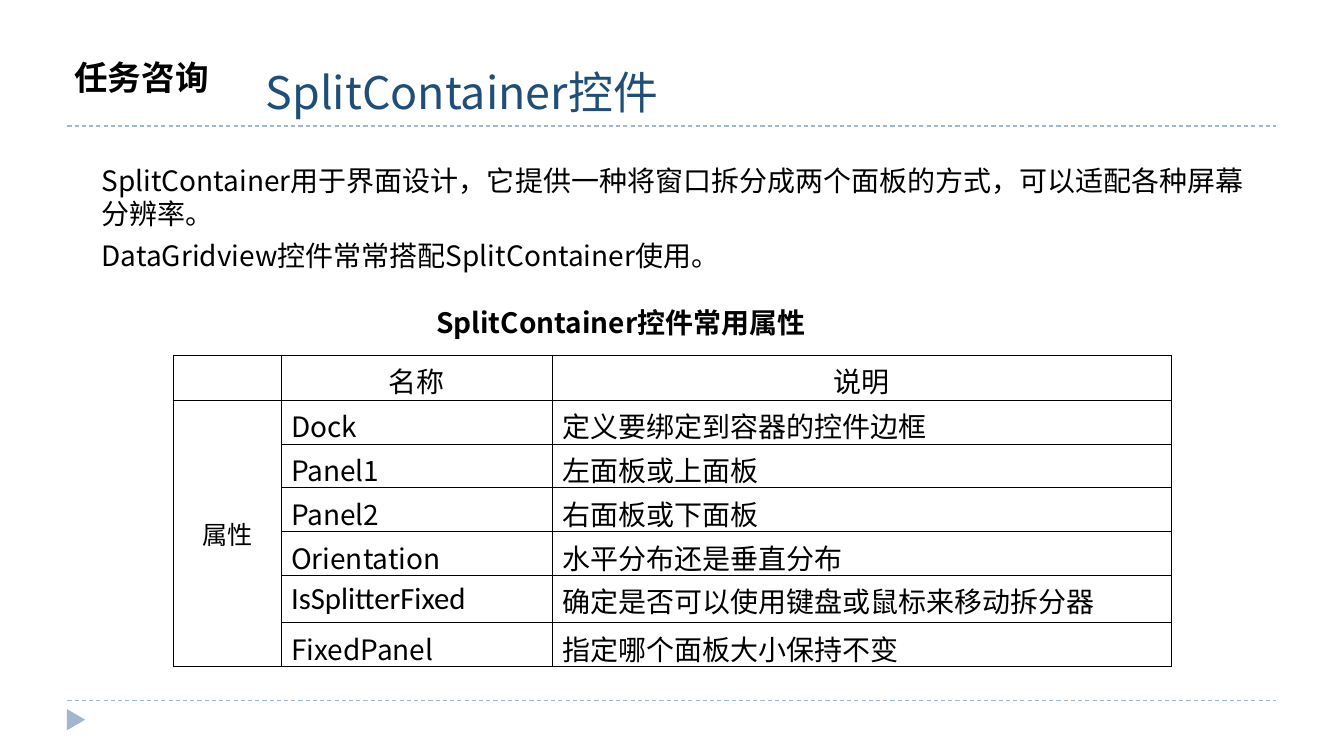
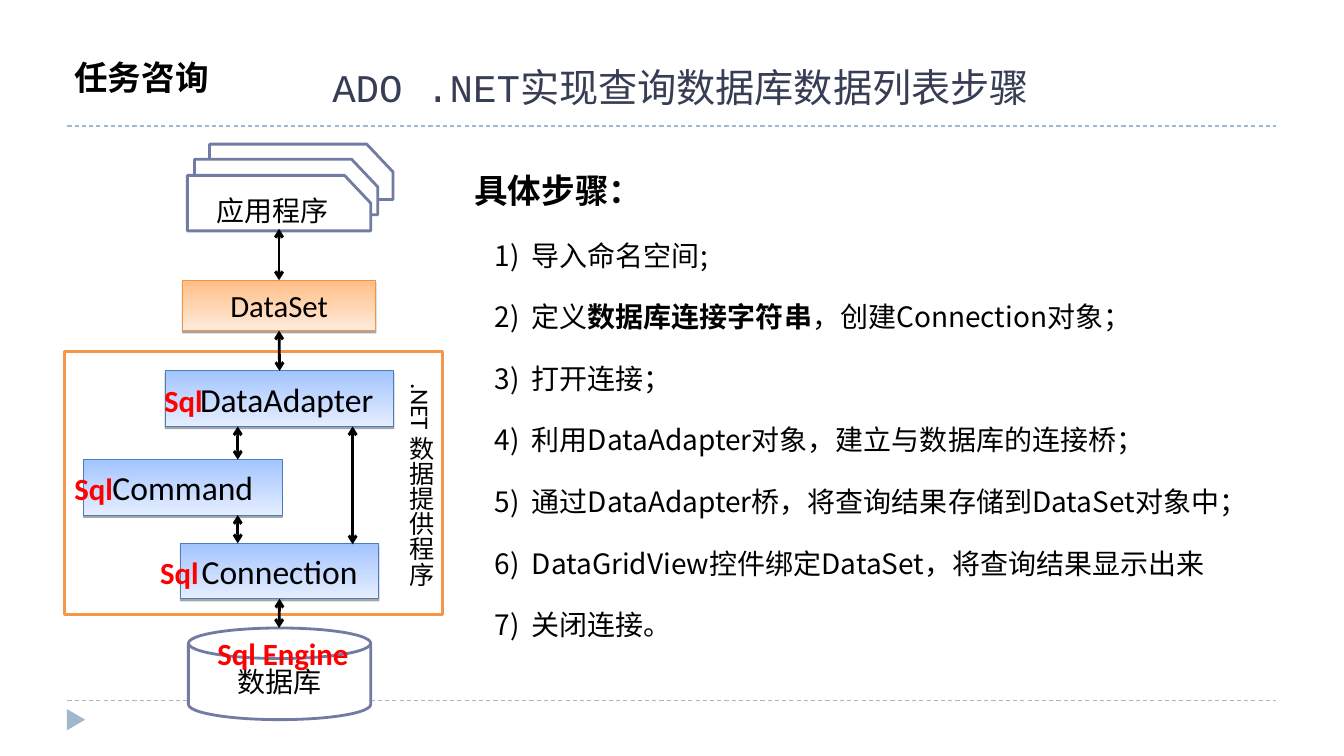
from pptx import Presentation
from pptx import util as u
from pptx.dml import color
from pptx.enum import dml, shapes, text
from pptx.oxml import xmlchemy

SANS = "Noto Sans CJK SC"
BLACK, WHITE, RED = "000000", "FFFFFF", "FF0000"
RULE, OUTLINE, ORANGE = "9FB8CD", "727CA3", "F79646"
BLUE_BOX = ("A3C4FF", "E5EEFF", "4A7EBB")
ORANGE_BOX = ("FFBE86", "FFEBDB", "F69240")
CENTER = {"alignment": text.PP_ALIGN.CENTER}
INSETS = (0.1, 0.05, 0.1, 0.05)
TOP, BOTTOM = 0, 2


def colour(value):
    """Turn a hex string into a colour."""
    return color.RGBColor.from_string(value)


def inches(values):
    """Convert a sequence of numbers to lengths."""
    return [u.Inches(value) for value in values]


def set_values(target, values):
    """Set every attribute named in a dict."""
    for name, value in values.items():
        setattr(target, name, value)


def add_element(parent, tag, **attributes):
    """Append an XML element with attributes and return it."""
    element = xmlchemy.OxmlElement(tag)
    for name, value in attributes.items():
        element.set(name, value)
    parent.append(element)
    return element


def font_of(size, name=SANS, fill=BLACK, bold=False):
    """Describe a font as a dict."""
    return {"size": u.Pt(size), "name": name, "bold": bold, "fill": fill}


def add_run(paragraph, words, font):
    """Add a run with Latin and East Asian typefaces."""
    run = paragraph.add_run()
    run.text = words
    set_values(run.font, {name: font[name] for name in ("size", "name", "bold")})
    run.font.color.rgb = colour(font["fill"])
    typeface = font["name"] if font["name"].startswith("Noto") else SANS
    add_element(run._r.get_or_add_rPr(), "a:ea", typeface=typeface)


def write(frame, paragraphs, font, layout=None, before=0):
    """Fill a text frame with one paragraph for each string."""
    for index, words in enumerate(paragraphs):
        paragraph = frame.add_paragraph() if index else frame.paragraphs[0]
        set_values(paragraph, layout or {})
        if index and before:
            paragraph.space_before = u.Pt(before)
        add_run(paragraph, words, font)


def prepare_frame(frame, insets=INSETS, anchor=text.MSO_ANCHOR.TOP):
    """Set insets, anchor and wrapping of a text frame."""
    sides = ("margin_left", "margin_top", "margin_right", "margin_bottom")
    set_values(frame, dict(zip(sides, inches(insets))))
    set_values(frame, {"vertical_anchor": anchor, "word_wrap": True})


def add_text(slide, place, paragraphs, font, layout=None, before=0, **frame_values):
    """Add a text box and return its frame."""
    frame = slide.shapes.add_textbox(*inches(place)).text_frame
    prepare_frame(frame, **frame_values)
    write(frame, paragraphs, font, layout, before)
    return frame


def paint(shape, fill, line=None, width=2.0):
    """Give a shape a flat fill and an outline."""
    shape.shadow.inherit = False
    shape.fill.solid()
    shape.fill.fore_color.rgb = colour(fill)
    if line:
        shape.line.color.rgb = colour(line)
        shape.line.width = u.Pt(width)
    else:
        shape.line.fill.background()


def label(shape, words, font, insets=INSETS):
    """Write centred text into a shape."""
    prepare_frame(shape.text_frame, insets, text.MSO_ANCHOR.MIDDLE)
    write(shape.text_frame, [words], font, CENTER)


def add_shape(slide, kind, place, fill, line=None):
    """Add a flat preset shape."""
    shape = slide.shapes.add_shape(kind, *inches(place))
    paint(shape, fill, line)
    return shape


def add_box(slide, place, words, palette, size=24, insets=INSETS):
    """Add a labelled box with a gradient and a hard shadow."""
    start, end, line = palette
    box = add_shape(slide, shapes.MSO_SHAPE.RECTANGLE, place, start, line)
    box.line.width = u.Pt(0.75)
    box.fill.gradient()
    box.fill.gradient_angle = 270
    for stop, position, value in zip(box.fill.gradient_stops, (0, 1), (start, end)):
        stop.position = position
        stop.color.rgb = colour(value)
    effects = box._element.spPr.find(".//{*}effectLst")
    shadow = add_element(effects, "a:outerShdw", blurRad="0", dist=str(u.Pt(1.6)),
                         dir="5400000", rotWithShape="0")
    black = add_element(shadow, "a:srgbClr", val=BLACK)
    add_element(black, "a:alpha", val="34000")
    label(box, words, font_of(size, "Calibri"), insets)
    return box


def add_card(slide, left, top):
    """Add a card whose upper right corner is cut."""
    width, height, cut = 1.82, 0.55, 0.26
    right, bottom = left + width, top + height
    points = [(right - cut, top), (right, top + height / 2), (right, bottom), (left, bottom)]
    builder = slide.shapes.build_freeform(u.Inches(left), u.Inches(top))
    builder.add_line_segments([inches(point) for point in points], close=True)
    card = builder.convert_to_shape()
    paint(card, WHITE, OUTLINE)
    return card


def add_line(slide, start, end, line, width):
    """Add a straight connector without shadow."""
    connector = slide.shapes.add_connector(shapes.MSO_CONNECTOR.STRAIGHT, *inches(start + end))
    connector.line.color.rgb = colour(line)
    connector.line.width = u.Pt(width)
    add_element(connector._element.spPr, "a:effectLst")
    return connector


def add_arrow(slide, start, end, begin_joint=None, end_joint=None):
    """Add a double arrow, joined to shapes where given."""
    arrow = add_line(slide, start, end, BLACK, 2)
    for tag in ("a:headEnd", "a:tailEnd"):
        add_element(arrow.line._get_or_add_ln(), tag, type="arrow")
    if begin_joint:
        arrow.begin_connect(*begin_joint)
    if end_joint:
        arrow.end_connect(*end_joint)


def add_base(presentation, title, place, title_font):
    """Add a slide with rules, marker, section label and title."""
    slide = presentation.slides.add_slide(presentation.slide_layouts[6])
    for top in (6.95, 1.25):
        rule = add_line(slide, (0.67, top), (12.67, top), RULE, 0.75)
        rule.line.dash_style = dml.MSO_LINE.DASH
    marker = add_shape(slide, shapes.MSO_SHAPE.ISOSCELES_TRIANGLE, (0.65, 7.05, 0.21, 0.18), RULE)
    marker.rotation = 90
    add_text(slide, place, [title], title_font)
    add_text(slide, (0.64, 0.59, 1.74, 0.46), ["任务咨询"],
             font_of(24, "Noto Sans CJK JP", bold=True), {"line_spacing": 0.8})
    return slide


def format_cell(cell):
    """Give a cell thin black borders and no fill."""
    properties = cell._tc.get_or_add_tcPr()
    for side in ("a:lnL", "a:lnR", "a:lnT", "a:lnB"):
        border = add_element(properties, side, w=str(u.Pt(0.45)))
        add_element(add_element(border, "a:solidFill"), "a:srgbClr", val=BLACK)
    cell.fill.background()
    cell.vertical_anchor = text.MSO_ANCHOR.MIDDLE


def add_property_table(slide, rows):
    """Add the table of control properties."""
    widths = (1.07, 2.69, 6.15)
    heights = (0.45, 0.43, 0.43, 0.43, 0.43, 0.47, 0.43)
    place = (1.72, 3.52, sum(widths), sum(heights))
    table = slide.shapes.add_table(len(rows), len(widths), *inches(place)).table
    set_values(table, {"first_row": False, "horz_banding": False})
    for column, width in zip(table.columns, widths):
        column.width = u.Inches(width)
    for row, height in zip(table.rows, heights):
        row.height = u.Inches(height)
    for row_index, values in enumerate(rows):
        for column_index, words in enumerate(values):
            cell = table.cell(row_index, column_index)
            format_cell(cell)
            font = font_of(20 if column_index else 18)
            if words == "IsSplitterFixed":
                font = font_of(22, "Calibri")
            if words:
                centred = row_index == 0 or column_index == 0
                write(cell.text_frame, [words], font, CENTER if centred else None)
    table.cell(1, 0).merge(table.cell(len(rows) - 1, 0))


def build_control_slide(presentation):
    """Build the slide on the SplitContainer control."""
    slide = add_base(presentation, "SplitContainer控件", (2.54, 0.59, 9.33, 0.64),
                     font_of(32, fill="1F4E79"))
    add_text(slide, (0.91, 1.57, 11.54, 1.23), [
        "SplitContainer用于界面设计，它提供一种将窗口拆分成两个面板的方式，可以适配各种屏幕分辨率。",
        "DataGridview控件常常搭配SplitContainer使用。",
    ], font_of(20), before=6)
    add_text(slide, (4.23, 2.98, 4.4, 0.44), ["SplitContainer控件常用属性"],
             font_of(20, bold=True), anchor=text.MSO_ANCHOR.MIDDLE)
    add_property_table(slide, [
        ("", "名称", "说明"),
        ("属性", "Dock", "定义要绑定到容器的控件边框"),
        ("", "Panel1", "左面板或上面板"),
        ("", "Panel2", "右面板或下面板"),
        ("", "Orientation", "水平分布还是垂直分布"),
        ("", "IsSplitterFixed", "确定是否可以使用键盘或鼠标来移动拆分器"),
        ("", "FixedPanel", "指定哪个面板大小保持不变"),
    ])


def add_steps(slide):
    """Add the heading and the numbered steps."""
    spacing = {"line_spacing": u.Pt(32)}
    frame = add_text(slide, (4.31, 1.59, 8.5, 5.62), ["具体步骤："],
                     font_of(24, bold=True), spacing)
    frame.paragraphs[0]._p.get_or_add_pPr().set("marL", str(u.Inches(0.3)))
    steps = [
        ("导入命名空间;",),
        ("定义", "数据库连接字符串", "，创建Connection对象；"),
        ("打开连接；",),
        ("利用DataAdapter对象，建立与数据库的连接桥；",),
        ("通过DataAdapter桥，将查询结果存储到DataSet对象中；",),
        ("DataGridView控件绑定DataSet，将查询结果显示出来",),
        ("关闭连接。",),
    ]
    for runs in steps:
        paragraph = frame.add_paragraph()
        set_values(paragraph, {**spacing, "level": 1, "space_before": u.Pt(12)})
        properties = paragraph._p.get_or_add_pPr()
        properties.set("marL", str(u.Inches(0.87)))
        properties.set("indent", str(u.Inches(-0.37)))
        add_element(properties, "a:buFont", typeface=SANS)
        add_element(properties, "a:buAutoNum", type="arabicParenR")
        for place, words in enumerate(runs):
            add_run(paragraph, words, font_of(20, bold=place == 1))


def add_architecture(slide):
    """Add the diagram from application to database."""
    add_shape(slide, shapes.MSO_SHAPE.FLOWCHART_PROCESS, (0.64, 3.49, 3.75, 2.61), WHITE, ORANGE)
    database = add_shape(slide, shapes.MSO_SHAPE.FLOWCHART_MAGNETIC_DISK,
                         (1.87, 6.23, 1.81, 0.91), WHITE, OUTLINE)
    label(database, "数据库", font_of(20, "Calibri"))
    for corner in ((2.08, 1.43), (1.93, 1.58), (1.86, 1.74)):
        card = add_card(slide, *corner)
    label(card, "应用程序", font_of(20, "Calibri"), (0.1, 0.19, 0.23, 0.05))

    data_set = add_box(slide, (1.81, 2.78, 1.92, 0.5), "DataSet", ORANGE_BOX, 22)
    adapter = add_box(slide, (1.64, 3.68, 2.27, 0.55), "DataAdapter", BLUE_BOX,
                      insets=(0.24, 0.05, 0.1, 0.05))
    add_box(slide, (0.83, 4.56, 1.97, 0.55), "Command", BLUE_BOX)
    connection = add_box(slide, (1.79, 5.39, 1.97, 0.55), "Connection", BLUE_BOX)

    add_arrow(slide, (2.77, 2.78), (2.77, 2.27), (data_set, TOP))
    add_arrow(slide, (2.77, 3.68), (2.77, 3.28), (adapter, TOP), (data_set, BOTTOM))
    add_arrow(slide, (2.77, 5.94), (2.77, 6.23), (connection, BOTTOM))
    for left, bottom, top in ((2.36, 4.56, 4.23), (2.36, 5.39, 5.11), (3.5, 5.4, 4.23)):
        add_arrow(slide, (left, bottom), (left, top))

    provider = add_text(slide, (3.88, 3.7, 0.5, 2.4), [".NET 数据提供程序"],
                        font_of(18, "Calibri"), insets=(0.05, 0.1, 0.05, 0.05))
    provider._txBody.bodyPr.set("vert", "eaVert")
    red = font_of(22, "Calibri", RED, True)
    for left, top in ((1.53, 3.74), (0.64, 4.61), (1.49, 5.44)):
        add_text(slide, (left, top, 0.63, 0.47), ["Sql"], red)
    add_text(slide, (2.06, 6.25, 1.6, 0.47), ["Sql Engine"], red)


def build_steps_slide(presentation):
    """Build the slide on querying a database."""
    slide = add_base(presentation, "ADO .NET实现查询数据库数据列表步骤", (3.2, 0.58, 9.33, 0.57),
                     font_of(28, "Courier New", "373D54"))
    add_steps(slide)
    add_architecture(slide)


def main():
    """Build and save the presentation."""
    presentation = Presentation()
    set_values(presentation, {"slide_width": u.Inches(13.34), "slide_height": u.Inches(7.5)})
    build_control_slide(presentation)
    build_steps_slide(presentation)
    presentation.save("out.pptx")


if __name__ == "__main__":
    main()
